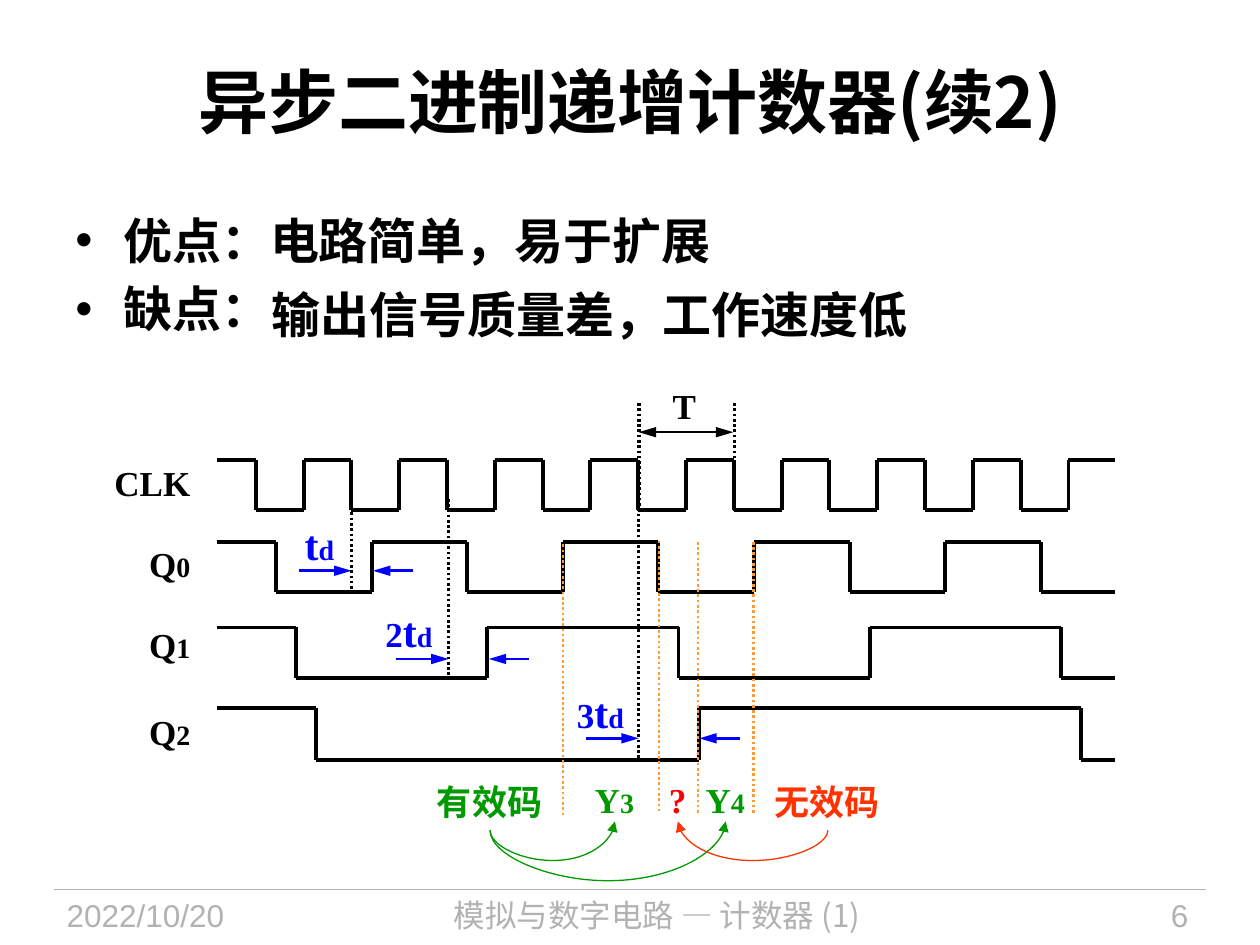
from pptx import Presentation
from pptx.dml.color import RGBColor
from pptx.enum.dml import MSO_LINE
from pptx.enum.shapes import MSO_CONNECTOR
from pptx.enum.text import MSO_ANCHOR, MSO_AUTO_SIZE, PP_ALIGN
from pptx.oxml.ns import qn
from pptx.util import Inches, Pt
from lxml.etree import SubElement

LEFT, MID, RIGHT = PP_ALIGN.LEFT, PP_ALIGN.CENTER, PP_ALIGN.RIGHT
TOP, CENTER = MSO_ANCHOR.TOP, MSO_ANCHOR.MIDDLE
GROW = MSO_AUTO_SIZE.SHAPE_TO_FIT_TEXT
DOT = MSO_LINE.ROUND_DOT
STRAIGHT, CURVE = MSO_CONNECTOR.STRAIGHT, MSO_CONNECTOR.CURVE
TIMES, ARIAL, NOTO = "Times New Roman", "Arial", "Noto Sans CJK SC"
BLACK, BLUE, GREEN = "000000", "0000FF", "009900"
RED, ORANGE, GRAY = "FF3300", "FF9933", "B2B2B2"

deck = Presentation()
deck.slide_width, deck.slide_height = Inches(10), Inches(7.5)
slide = deck.slides.add_slide(deck.slide_layouts[6])
shapes = slide.shapes


def color(code):
    return RGBColor.from_string(code)


def text(x, y, w, h, *lines, font=TIMES, ink=BLACK, bold=True, align=LEFT,
         anchor=TOP, wrap=False, inset=True, bullet=False, lead=None):
    box = shapes.add_textbox(Inches(x), Inches(y), Inches(w), Inches(h))
    frame = box.text_frame
    frame.word_wrap = wrap
    frame.vertical_anchor = anchor
    if not wrap:
        frame.auto_size = GROW
    if not inset:
        frame.margin_left = frame.margin_right = 0
        frame.margin_top = frame.margin_bottom = 0
    for i, line in enumerate(lines):
        para = frame.paragraphs[0] if i == 0 else frame.add_paragraph()
        para.alignment = align
        if lead:
            para.line_spacing = lead
        if bullet:
            para.space_after = Pt(5.6)
            props = para._p.get_or_add_pPr()
            props.set("marL", str(Inches(0.38)))
            props.set("indent", str(Inches(-0.38)))
            SubElement(props, qn("a:buFont"), typeface=ARIAL)
            SubElement(props, qn("a:buChar"), char="•")
        for words, size, *face in line:
            run = para.add_run()
            run.text = words
            run.font.size = Pt(size)
            run.font.bold = bold
            run.font.name = face[0] if face else font
            run.font.color.rgb = color(ink)


def draw(x1, y1, x2, y2, ink=BLACK, width=2.25, dash=None, ends=(), kind=STRAIGHT):
    line = shapes.add_connector(kind, Inches(x1), Inches(y1), Inches(x2), Inches(y2))
    line.line.color.rgb = color(ink)
    line.line.width = Pt(width)
    if dash:
        line.line.dash_style = dash
    size = "lg" if kind == STRAIGHT else "med"
    for end in ends:
        SubElement(line.line._get_or_add_ln(), qn("a:" + end), type="triangle",
                   w="med", len=size)
    SubElement(line._element.spPr, qn("a:effectLst"))
    return line


draw(0.43, 7.06, 9.57, 7.06, ink=GRAY, width=0.75)
for x, w, words, font, align in [
    (0.43, 1.88, "2022/10/20", ARIAL, LEFT),
    (2.4, 5.63, "模拟与数字电路 — 计数器 (1)", NOTO, MID),
    (8.2, 1.33, "6", ARIAL, RIGHT),
]:
    text(x, 7.06, w, 0.44, [(words, 18)], font=font, ink=GRAY, bold=False,
         align=align, wrap=True)

text(0.5, 0.17, 9, 1.25, [("异步二进制递增计数器", 40), ("(续2)", 40, NOTO)],
     align=MID, anchor=CENTER, wrap=True)
text(0.5, 1.62, 8.71, 1.34, [("优点：电路简单，易于扩展", 28)], [("缺点：", 28)],
     bullet=True, wrap=True)
text(2.05, 2.21, 5.26, 0.57, [("输出信号质量差，工作速度低", 28)], font=ARIAL, align=MID)

pitch = (8.48 - 2.03) / 17
for i, (high, low, name, top) in enumerate([
    (3.65, 4.05, [("CLK", 20)], 3.61),
    (4.3, 4.7, [("Q", 20), ("0", 16)], 4.26),
    (4.98, 5.38, [("Q", 20), ("1", 16)], 4.9),
    (5.62, 6.03, [("Q", 20), ("2", 16)], 5.59),
]):
    wide = 0.8 if i == 0 else 0.53
    text(1.61 - wide, top, wide, 0.43, name, align=RIGHT)
    span = 2 ** i
    edges = [2.03 + 0.16 * i + pitch * span * k for k in range(17 // span + 1)]
    stops = [1.72] + edges + [8.85]
    for k, (start, stop) in enumerate(zip(stops, stops[1:])):
        level = low if k % 2 else high
        draw(start, level, stop, level)
    for x in edges:
        draw(x, low, x, high)

for x, y, top, foot, back, left, wide, high, mark in [
    (2.79, 4.53, 3.65, 4.7, 2.96, 2.32, 0.44, 4.07, ""),
    (3.56, 5.23, 3.96, 5.36, 3.88, 2.96, 0.57, 4.76, "2"),
    (5.07, 5.86, 3.2, 6.02, 5.55, 4.48, 0.57, 5.4, "3"),
]:
    count = [(mark, 20)] if mark else []
    text(left, high, wide, 0.5, count + [("t", 24), ("d", 16)], ink=BLUE,
         align=RIGHT if mark else LEFT)
    draw(back + 0.32, y, back, y, ink=BLUE, width=1.5, ends=["tailEnd"])
    draw(x, y, x - 0.42, y, ink=BLUE, width=1.5, ends=["headEnd"])
    draw(x, top, x, foot, width=1.5, dash=DOT)

text(5.24, 3, 0.39, 0.43, [("T", 20)])
for x in (5.08, 5.83):
    draw(x, 3.2, x, 4.06, width=1.5, dash=DOT)
draw(5.82, 3.43, 5.07, 3.43, width=1.5, ends=["headEnd", "tailEnd"])

for x, foot in [(4.47, 6.47), (5.23, 6.44), (5.54, 6.45), (5.98, 6.45)]:
    draw(x, foot, x, foot - 2.16, ink=ORANGE, width=1.5, dash=DOT)
for x, w, code, ink in [
    (4.72, 0.36, [("Y", 20), ("3", 16)], GREEN),
    (5.31, 0.17, [("?", 20)], "FF0000"),
    (5.6, 0.36, [("Y", 20), ("4", 16)], GREEN),
]:
    text(x, 6.18, w, 0.33, code, ink=ink, anchor=CENTER, inset=False)

text(3.37, 6.18, 1.1, 0.4, [("有效码", 20)], ink=GREEN, lead=0.9)
text(5.98, 6.18, 1.1, 0.4, [("无效码", 20)], ink=RED, lead=0.9, align=RIGHT)
for x1, x2, foot, ink in [
    (3.89, 4.88, 6.83, GREEN),
    (3.89, 5.76, 6.99, GREEN),
    (6.57, 5.38, 6.83, RED),
]:
    rise, reach = 0.07, abs(x2 - x1)
    left, top = (x1 + x2 - rise) / 2, 6.555 - reach / 2
    arc = draw(left, top, left + rise, top + reach, ink=ink, width=0.75,
               ends=["tailEnd"], kind=CURVE)
    form = arc._element.spPr.find(qn("a:xfrm"))
    form.set("rot", str((90 if x2 > x1 else 270) * 60000))
    form.set("flipV", "1")
    if x2 > x1:
        form.set("flipH", "1")
    bend = round(-(foot - 6.59) / rise * 100000)
    guides = arc._element.spPr.find(qn("a:prstGeom")).get_or_add_avLst()
    SubElement(guides, qn("a:gd"), name="adj1", fmla=f"val {bend}")

deck.save("out.pptx")
